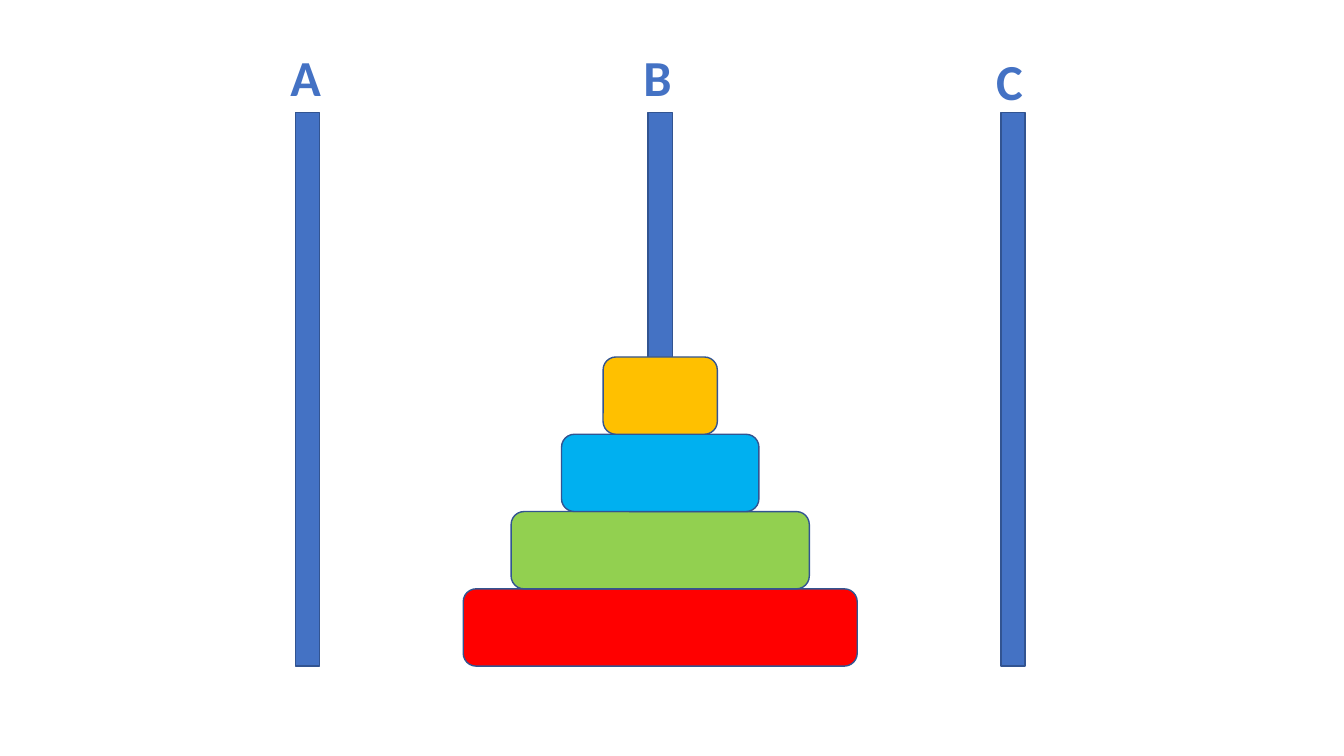
from pptx import Presentation
from pptx.dml.color import RGBColor
from pptx.enum import shapes, text
from pptx.util import Inches, Pt

COLORS = {
    "pole": "4472C4", "outline": "325491", "red": "FF0000",
    "green": "92D050", "blue": "00B0F0", "yellow": "FFC000",
}
COLS, ROWS = 16, 9


def rgb(name):
    return RGBColor.from_string(COLORS[name])


def write(tf, words, size=36, color="pole", bold=True, font="Calibri"):
    r = tf.paragraphs[0].add_run()
    r.text = words
    r.font.size, r.font.bold, r.font.name = Pt(size), bold, font
    r.font.color.rgb = rgb(color)


class Board:
    """Places elements by grid cells, centred on a given column."""

    def __init__(self, prs):
        self.slide = prs.slides.add_slide(prs.slide_layouts[6])
        self.col = prs.slide_width / COLS
        self.row = prs.slide_height / ROWS

    def box(self, center, top, width, height):
        return (round((center - width / 2) * self.col), round(top * self.row),
                round(width * self.col), round(height * self.row))

    def shape(self, kind, color, *place):
        sp = self.slide.shapes.add_shape(kind, *self.box(*place))
        sp.shadow.inherit = False
        sp.fill.solid()
        sp.fill.fore_color.rgb = rgb(color)
        sp.line.color.rgb = rgb("outline")
        sp.line.width = Pt(1)

    def pole(self, *place):
        self.shape(shapes.MSO_SHAPE.RECTANGLE, "pole", *place)

    def disc(self, color, *place):
        self.shape(shapes.MSO_SHAPE.ROUNDED_RECTANGLE, color, *place)

    def label(self, words, *place):
        tf = self.slide.shapes.add_textbox(*self.box(*place)).text_frame
        tf.word_wrap = True
        tf.auto_size = text.MSO_AUTO_SIZE.SHAPE_TO_FIT_TEXT
        write(tf, words)


prs = Presentation()
prs.slide_width, prs.slide_height = Inches(13.33), Inches(7.5)
board = Board(prs)

# Poles and their labels
FIRST, GAP = 3.66, 4.2
POLE_TOP, FLOOR = 1.34, 7.93
for i, (name, label_top) in enumerate([("A", 0.49), ("B", 0.49), ("C", 0.54)]):
    center = FIRST + i * GAP
    board.pole(center, POLE_TOP, 0.29, FLOOR - POLE_TOP)
    board.label(name, center, label_top, 0.64, 0.85)

# Discs stacked on the middle pole, from the floor up
DISC = 0.92
discs = [("red", 4.69), ("green", 3.55), ("blue", 2.35), ("yellow", 1.36)]
for level, (color, width) in enumerate(discs, start=1):
    board.disc(color, FIRST + GAP, FLOOR - level * DISC, width, DISC)

prs.save("out.pptx")
